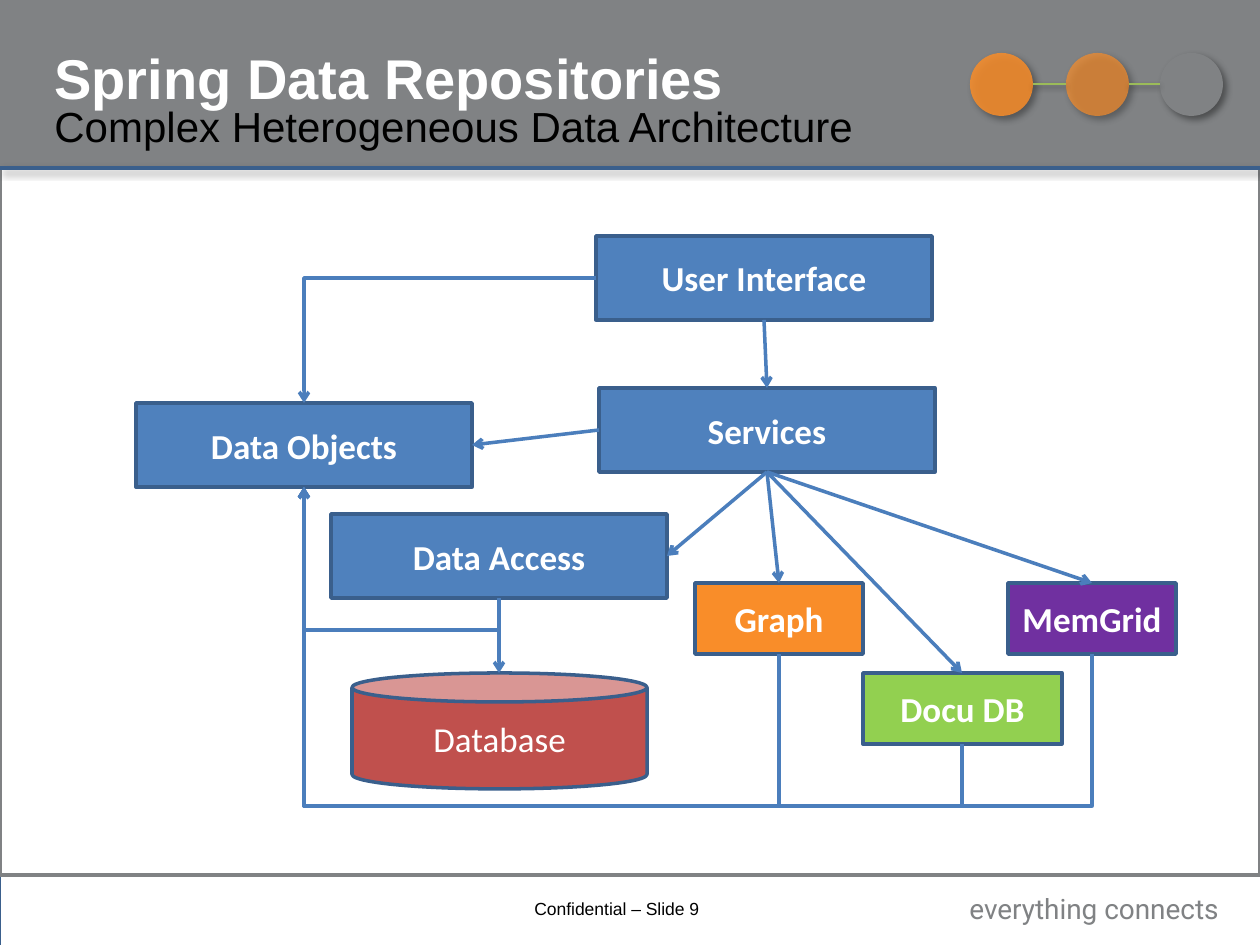
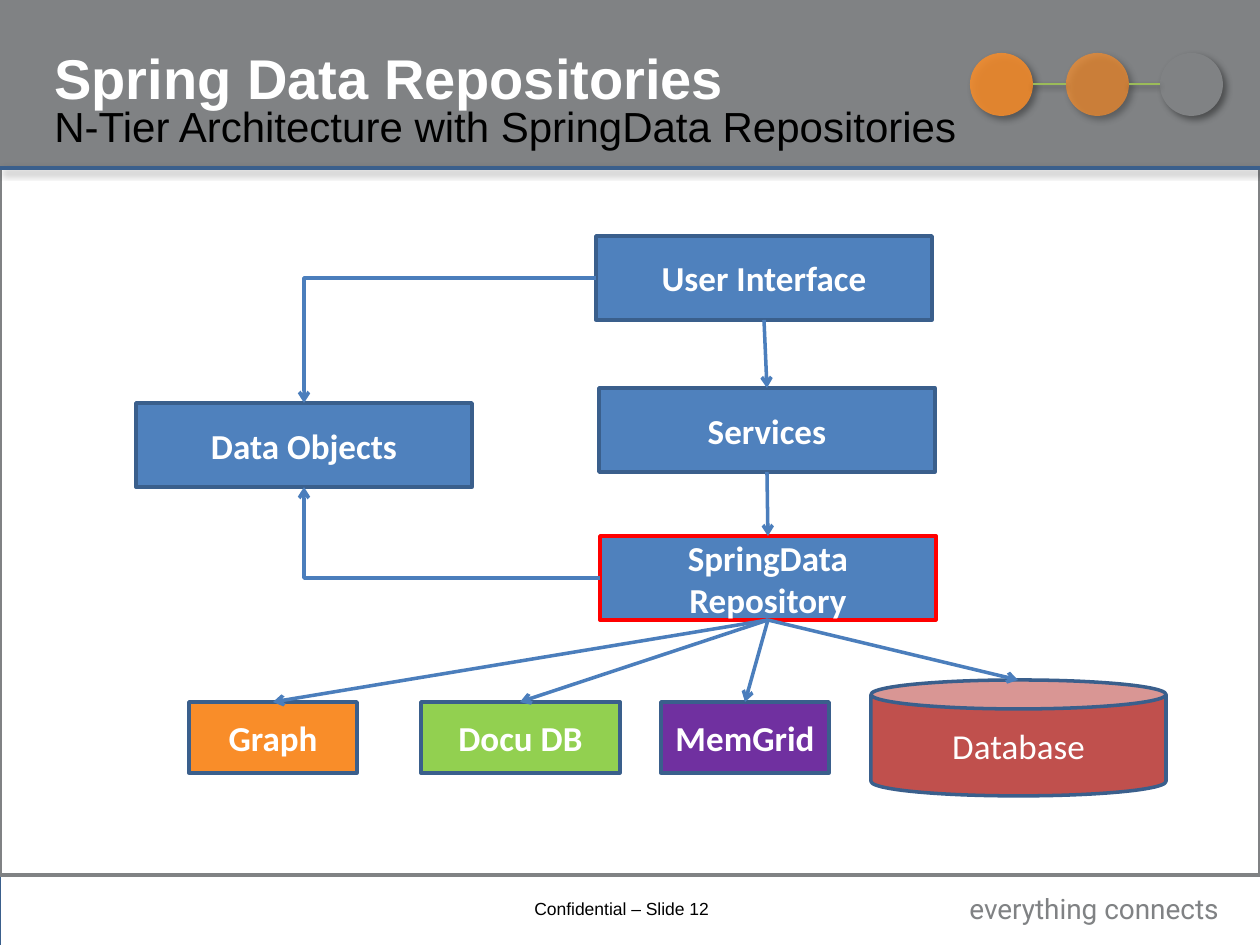
from pptx import Presentation
from pptx.util import Inches, Pt
from pptx.dml.color import RGBColor
from pptx.enum.shapes import MSO_SHAPE as Geo, MSO_CONNECTOR as Wire
from pptx.enum.text import PP_ALIGN as Align, MSO_ANCHOR as Anchor
from pptx.oxml.ns import qn
from lxml.etree import SubElement as sub

SCALE = Inches(10) / 1260
WIDE, HIGH = 1260, 945
GREY, WHITE, BLACK = "808284", "FFFFFF", "000000"
BLUE, EDGE, LINK = "4F81BD", "3A5F8C", "4B7EBC"
ORANGE, GREEN, PURPLE = "F98D29", "92D050", "7030A0"
BRICK, RED, OLIVE = "C0504D", "FF0000", "9BBB59"
# Shadows: opacity %, blur pt, distance pt, angle
SOFT, FAINT, DROP = (40, 4, 3, 45), (26, 4, 3, 45), (38, 3.1, 1.6, 90)


def emu(px):
    return round(px * SCALE)


def color(code):
    return RGBColor.from_string(code)


# Points on the edges of a shape, in pixels
def spot(shape, side):
    x, y, w, h = (round(v / SCALE) for v in
                  (shape.left, shape.top, shape.width, shape.height))
    return {"top": (x + w // 2, y), "bottom": (x + w // 2, y + h),
            "left": (x, y + h // 2), "right": (x + w, y + h // 2)}[side]


class Deck:
    def __init__(self):
        self.prs = Presentation()
        self.prs.slide_width, self.prs.slide_height = emu(WIDE), emu(HIGH)

    def style(self, frame, text, size, code, font, bold=False, align=Align.LEFT):
        frame.text = text
        para = frame.paragraphs[0]
        para.alignment = align
        face = para.runs[0].font
        face.size, face.name, face.bold = Pt(size), font, bold
        face.color.rgb = color(code)

    def shade(self, item, look):
        props = item.element.spPr
        list_ = props.find(qn("a:effectLst"))
        if list_ is None:
            list_ = sub(props, qn("a:effectLst"))
        if look:
            alpha, blur, dist, turn = look
            cast = sub(list_, qn("a:outerShdw"), blurRad=str(Pt(blur)),
                       dist=str(Pt(dist)), dir=str(turn * 60000),
                       rotWithShape="0")
            tint = sub(cast, qn("a:srgbClr"), val=BLACK)
            sub(tint, qn("a:alpha"), val=str(alpha * 1000))

    def shape(self, geo, box, fill, edge=None, width=2, alpha=100, look=None):
        item = self.slide.shapes.add_shape(geo, *map(emu, box))
        item.fill.solid()
        item.fill.fore_color.rgb = color(fill)
        if alpha < 100:
            tint = item.element.spPr.find(qn("a:solidFill"))[0]
            sub(tint, qn("a:alpha"), val=str(alpha * 1000))
        if edge:
            item.line.color.rgb = color(edge)
            item.line.width = Pt(width)
        else:
            item.line.fill.background()
        item.shadow.inherit = False
        self.shade(item, look)
        return item

    def node(self, text, box, fill=BLUE, edge=EDGE, geo=Geo.RECTANGLE):
        item = self.shape(geo, box, fill, edge)
        frame = item.text_frame
        frame.word_wrap, frame.vertical_anchor = True, Anchor.MIDDLE
        self.style(frame, text, 20, WHITE, "Calibri",
                   geo == Geo.RECTANGLE, Align.CENTER)
        return item

    def tier(self, text, x, y, edge=EDGE):
        return self.node(text, (x, y, 336, 84), BLUE, edge)

    def store(self, text, x, y, fill, w=168):
        return self.node(text, (x, y, w, 71), fill)

    def base(self, x, y):
        return self.node("Database", (x, y, 295, 116), BRICK, geo=Geo.CAN)

    def label(self, text, box, size, code, bold=False, inset=6, wrap=True):
        frame = self.slide.shapes.add_textbox(*map(emu, box)).text_frame
        frame.word_wrap, frame.margin_top = wrap, emu(inset)
        self.style(frame, text, size, code, "Arial", bold)

    def line(self, start, end, code=LINK, width=2, look=None, arrow=False,
             kind=Wire.STRAIGHT):
        item = self.slide.shapes.add_connector(kind, *map(emu, start + end))
        item.line.color.rgb = color(code)
        item.line.width = Pt(width)
        if arrow:
            sub(item.line._get_or_add_ln(), qn("a:tailEnd"), type="arrow")
        self.shade(item, look)
        return item

    def arrow(self, start, end):
        self.line(start, end, arrow=True)

    def bend(self, box, preset, turn, flip=None, adj=None):
        x, y, w, h = box
        item = self.line((x, y), (x + w, y + h), arrow=True, kind=Wire.ELBOW)
        props = item.element.spPr
        frame, geom = props.find(qn("a:xfrm")), props.find(qn("a:prstGeom"))
        frame.set("rot", str(turn * 60000))
        if flip:
            frame.set(flip, "1")
        geom.set("prst", preset)
        if adj is not None:
            sub(geom.find(qn("a:avLst")), qn("a:gd"), name="adj1",
                fmla=f"val {round(adj * 100000)}")

    # Runs left, then up or down
    def corner(self, start, end):
        (x, y), (to_x, to_y) = start, end
        self.bend((to_x, min(y, to_y), x - to_x, abs(to_y - y)),
                  "bentConnector2", 180, "flipV" if to_y > y else None)

    # Runs down to the level of the bus, left, then up
    def loop(self, start, end, bus):
        (x, y), (to_x, to_y) = start, end
        w, h = y - to_y, x - to_x
        self.bend(((x + to_x - w) / 2, (y + to_y - h) / 2, w, h),
                  "bentConnector3", 90, "flipH", (y - bus) / w)

    # Background, bands, ornament, titles and footer
    def page(self, number, text):
        self.slide = self.prs.slides.add_slide(self.prs.slide_layouts[6])
        back = self.slide.background.fill
        back.solid()
        back.fore_color.rgb = color(GREY)
        foot = self.shape(Geo.RECTANGLE, (0, 872, WIDE, 73), WHITE, EDGE, 0.25)
        frame = foot.text_frame
        frame.vertical_anchor, frame.margin_right = Anchor.MIDDLE, emu(41)
        self.style(frame, "everything connects", 16, GREY, "Roboto",
                   align=Align.RIGHT)
        self.line((0, 872), (WIDE, 872), GREY, 0.75)
        self.shape(Geo.RECTANGLE, (0, 168, WIDE, 707), WHITE, GREY)
        for x, fill, alpha in ((1160, GREY, 100), (1066, ORANGE, 70),
                               (970, ORANGE, 85)):
            self.shape(Geo.OVAL, (x, 53, 63, 63), fill, alpha=alpha, look=SOFT)
        for x, end in ((1033, 1066), (1129, 1160)):
            self.line((x, 84), (end, 84), OLIVE, 1, DROP)
        self.line((0, 168), (WIDE, 168), BLACK, 1.25)
        self.shape(Geo.RECTANGLE, (0, 168, WIDE, 0), BLACK, EDGE, alpha=35,
                   look=FAINT)
        self.label(f"Confidential – Slide {number}", (522, 892, 203, 34), 10,
                   BLACK, wrap=False)
        self.label("Spring Data Repositories", (42, 32, 850, 79), 32, WHITE,
                   True, inset=11)
        self.label(text, (42, 89, 935, 71), 24, BLACK, inset=11)

    # The tiers and arrows found on every page
    def top(self):
        face = self.tier("User Interface", 596, 236)
        serve = self.tier("Services", 599, 388)
        data = self.tier("Data Objects", 136, 403)
        self.corner(spot(face, "left"), spot(data, "top"))
        self.arrow(spot(face, "bottom"), spot(serve, "top"))
        return serve, data


deck = Deck()

# Each store reached directly from the services
deck.page(9, "Complex Heterogeneous Data Architecture")
serve, data = deck.top()
entry = deck.tier("Data Access", 331, 514)
base = deck.base(352, 673)
docs = deck.store("Docu DB", 863, 673, GREEN, 199)
graph = deck.store("Graph", 695, 583, ORANGE)
grid = deck.store("MemGrid", 1008, 583, PURPLE)
deck.arrow(spot(entry, "bottom"), spot(base, "top"))
deck.arrow(spot(serve, "left"), spot(data, "right"))
deck.arrow(spot(serve, "bottom"), spot(entry, "right"))
for item in (graph, docs, grid):
    deck.arrow(spot(serve, "bottom"), spot(item, "top"))
for item, bus in ((entry, 630), (grid, 806), (docs, 806), (graph, 806)):
    deck.loop(spot(item, "bottom"), spot(data, "bottom"), bus)

# All stores behind one repository
deck.page(12, "N-Tier Architecture with SpringData Repositories")
serve, data = deck.top()
repo = deck.tier("SpringData Repository", 600, 536, RED)
stores = (deck.base(871, 680), deck.store("Docu DB", 421, 702, GREEN, 199),
          deck.store("Graph", 189, 702, ORANGE),
          deck.store("MemGrid", 661, 702, PURPLE))
deck.corner(spot(repo, "left"), spot(data, "bottom"))
deck.arrow(spot(serve, "bottom"), spot(repo, "top"))
for item in stores:
    deck.arrow(spot(repo, "bottom"), spot(item, "top"))

deck.prs.save("out.pptx")
